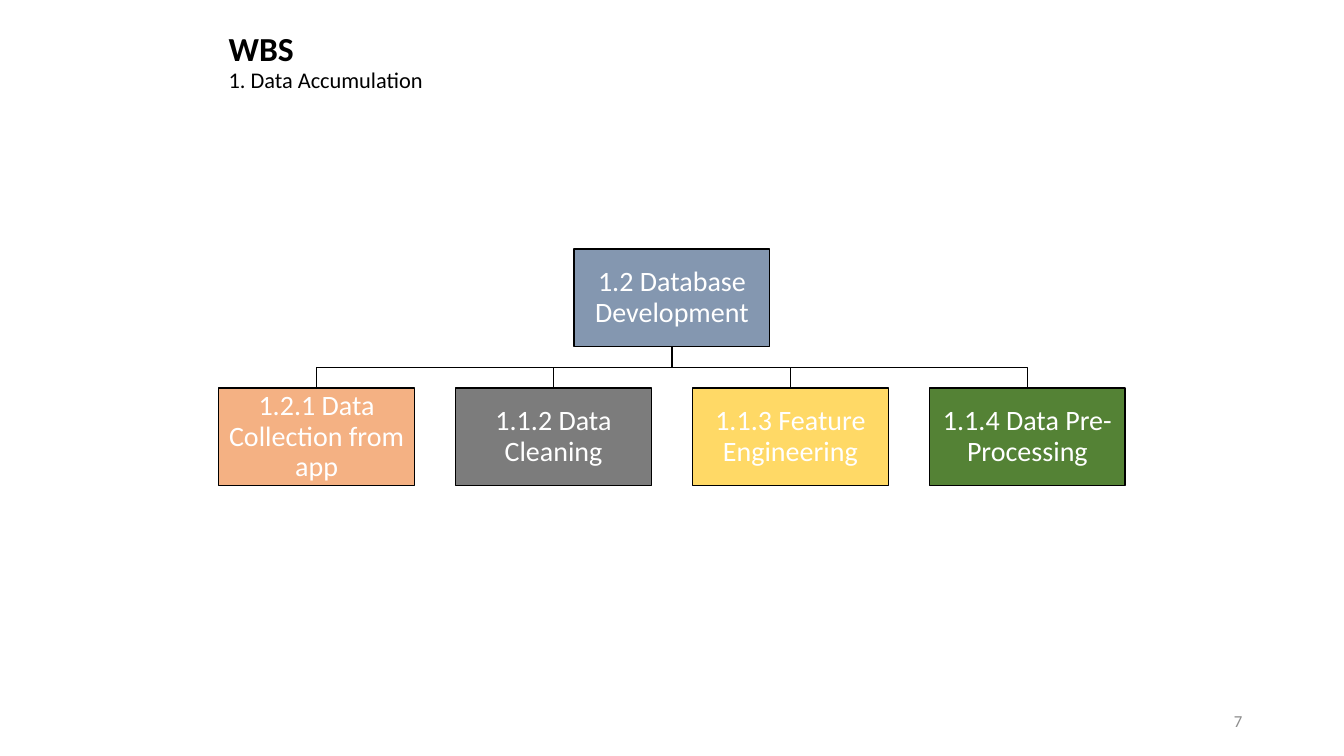
from dataclasses import dataclass

from pptx import Presentation
from pptx.dml.color import RGBColor
from pptx.enum.shapes import MSO_SHAPE as Shape
from pptx.enum.text import MSO_ANCHOR as Anchor, PP_ALIGN as Align
from pptx.util import Inches, Pt


@dataclass(frozen=True)
class Theme:
    font: str = "Calibri"
    black: str = "000000"
    white: str = "FFFFFF"
    page_grey: str = "8C8C8C"
    root_blue: str = "8497B0"
    orange: str = "F4B183"
    grey: str = "7C7C7C"
    yellow: str = "FFD966"
    green: str = "548235"
    title_size: int = 24
    subtitle_size: int = 16
    box_size: int = 20
    page_size: int = 12
    line_width: int = 1
    line_spacing: float = 0.9


class SlideBuilder:
    def __init__(self, slide, theme):
        self.slide = slide
        self.theme = theme

    def add_run(self, paragraph, text, size, color, bold=False):
        run = paragraph.add_run()
        run.text = text
        run.font.name = self.theme.font
        run.font.size = Pt(size)
        run.font.bold = bold
        run.font.color.rgb = RGBColor.from_string(color)

    def outline(self, shape):
        shape.shadow.inherit = False
        shape.line.color.rgb = RGBColor.from_string(self.theme.black)
        shape.line.width = Pt(self.theme.line_width)

    def text_area(self, left, top, width, height, align):
        """Add a wrapping, vertically centred text box; return its paragraph."""
        box = self.slide.shapes.add_textbox(
            Inches(left), Inches(top), Inches(width), Inches(height))
        frame = box.text_frame
        frame.word_wrap = True
        frame.vertical_anchor = Anchor.MIDDLE
        paragraph = frame.paragraphs[0]
        paragraph.alignment = align
        return paragraph

    def heading(self, title, subtitle):
        theme = self.theme
        paragraph = self.text_area(2.17, 0, 9, 1.25, Align.LEFT)
        paragraph.line_spacing = theme.line_spacing
        self.add_run(paragraph, title, theme.title_size, theme.black, bold=True)
        paragraph.add_line_break()
        self.add_run(paragraph, subtitle, theme.subtitle_size, theme.black)

    def page_number(self, number):
        paragraph = self.text_area(9.42, 6.95, 3, 0.4, Align.RIGHT)
        self.add_run(paragraph, number, self.theme.page_size, self.theme.page_grey)

    def box(self, text, left, top, width, height, fill):
        shape = self.slide.shapes.add_shape(
            Shape.RECTANGLE, Inches(left), Inches(top), Inches(width), Inches(height))
        self.outline(shape)
        shape.fill.solid()
        shape.fill.fore_color.rgb = RGBColor.from_string(fill)
        frame = shape.text_frame
        frame.word_wrap = True
        frame.vertical_anchor = Anchor.MIDDLE
        frame.margin_left = frame.margin_right = Inches(0.01)
        frame.margin_top = frame.margin_bottom = Inches(0.01)
        paragraph = frame.paragraphs[0]
        paragraph.alignment = Align.CENTER
        paragraph.line_spacing = self.theme.line_spacing
        self.add_run(paragraph, text, self.theme.box_size, self.theme.white)

    def branch(self, start_x, start_y, end_x, end_y):
        """Draw a line down, across at half height, and down again."""
        middle_y = (start_y + end_y) / 2
        points = [(start_x, middle_y), (end_x, middle_y), (end_x, end_y)]
        builder = self.slide.shapes.build_freeform(Inches(start_x), Inches(start_y))
        builder.add_line_segments(
            [(Inches(x), Inches(y)) for x, y in points], close=False)
        shape = builder.convert_to_shape()
        shape.fill.background()
        self.outline(shape)


def main():
    presentation = Presentation()
    presentation.slide_width = Inches(13.33)
    presentation.slide_height = Inches(7.5)
    slide = presentation.slides.add_slide(presentation.slide_layouts[6])
    theme = Theme()
    builder = SlideBuilder(slide, theme)

    box_width, box_height = 1.94, 0.97
    first_left, pitch = 2.17, 2.35
    root_top, task_top = 2.47, 3.85
    tasks = [
        ("1.2.1 Data Collection from app", theme.orange),
        ("1.1.2 Data Cleaning", theme.grey),
        ("1.1.3 Feature Engineering", theme.yellow),
        ("1.1.4 Data Pre-Processing", theme.green),
    ]
    task_lefts = [first_left + index * pitch for index in range(len(tasks))]
    root_left = (task_lefts[0] + task_lefts[-1]) / 2

    builder.heading("WBS", "1. Data Accumulation")
    for left in task_lefts:
        builder.branch(root_left + box_width / 2, root_top + box_height,
                       left + box_width / 2, task_top)
    builder.box("1.2 Database Development", root_left, root_top,
                box_width, box_height, theme.root_blue)
    for left, (text, fill) in zip(task_lefts, tasks):
        builder.box(text, left, task_top, box_width, box_height, fill)
    builder.page_number("7")

    presentation.save("out.pptx")


if __name__ == "__main__":
    main()
